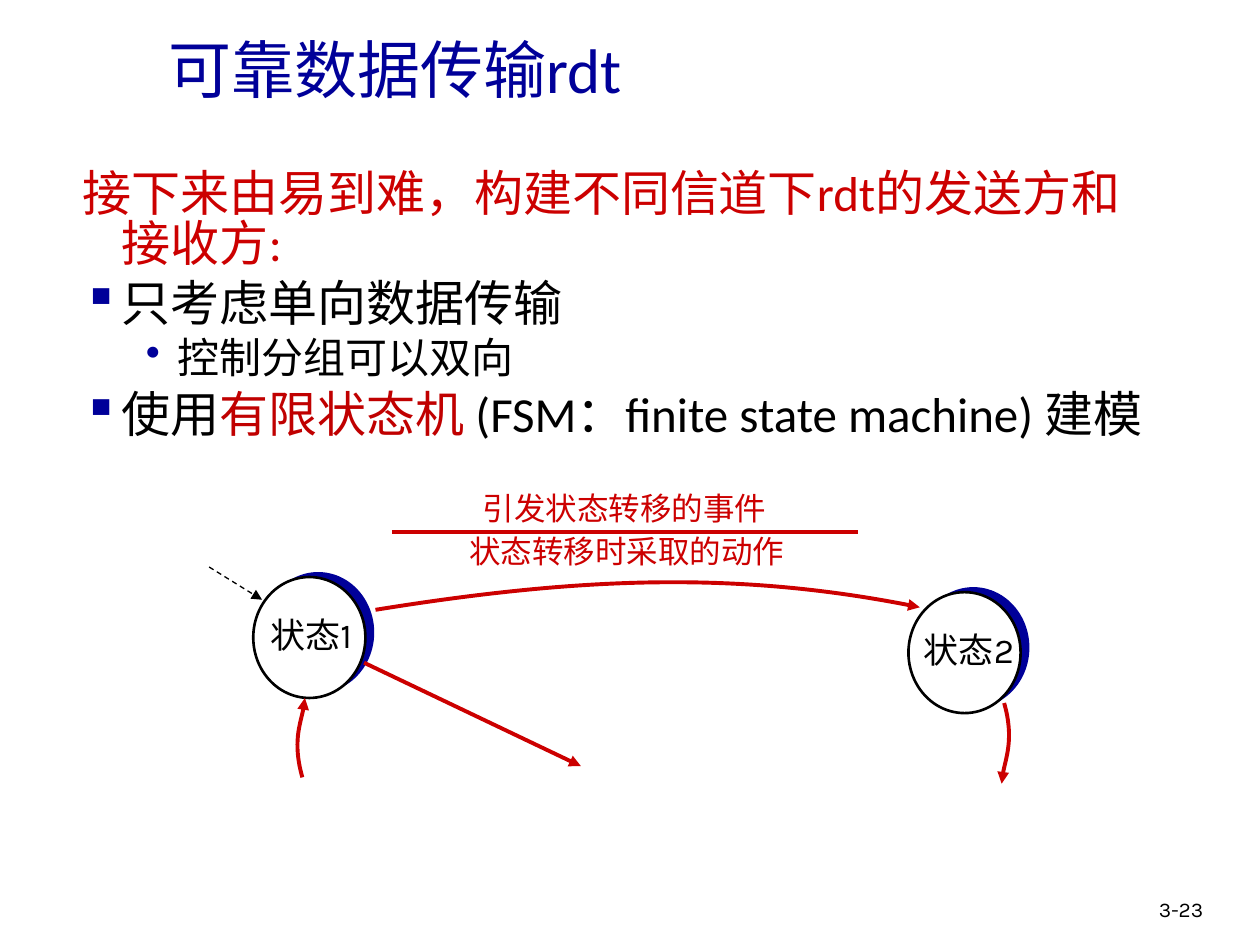
"""Build the slide on reliable data transfer with its finite state machine."""
import pptx
import pptx.dml.color
import pptx.enum.dml
import pptx.enum.shapes
import pptx.enum.text
import pptx.oxml
import pptx.oxml.ns
import pptx.util
from pptx.util import Inches

RGBColor = pptx.dml.color.RGBColor
NAVY = RGBColor(0x00, 0x00, 0x99)
RED = RGBColor(0xCC, 0x00, 0x00)
DARK_RED = RGBColor(0xC0, 0x00, 0x00)
BLACK = RGBColor(0x00, 0x00, 0x00)
WHITE = RGBColor(0xFF, 0xFF, 0xFF)

CENTER = pptx.enum.text.PP_ALIGN.CENTER
NO_FIT = pptx.enum.text.MSO_AUTO_SIZE.NONE
GROW = pptx.enum.text.MSO_AUTO_SIZE.SHAPE_TO_FIT_TEXT
MIDDLE = pptx.enum.text.MSO_ANCHOR.MIDDLE
OVAL = pptx.enum.shapes.MSO_SHAPE.OVAL
STRAIGHT = pptx.enum.shapes.MSO_CONNECTOR.STRAIGHT
DASH = pptx.enum.dml.MSO_LINE.DASH

BODY = [
    (0, "", [("接下来由易到难，构建不同信道下rdt的发送方和接收方:", RED)]),
    (0, "▪", [("只考虑单向数据传输", BLACK)]),
    (1, "•", [("控制分组可以双向", BLACK)]),
    (0, "▪", [("使用", BLACK), ("有限状态机", DARK_RED),
              (" (FSM：finite state machine) 建模", BLACK)]),
]
LEVELS = [(28, 0.31, -0.31), (24, 0.75, -0.25)]
CURVES = [
    [(2.98, 4.84), (4.59, 4.58), (5.88, 4.53), (7.3, 4.82)],
    [(2.4, 6.17), (2.32, 5.89), (2.42, 5.63), (2.42, 5.54)],
    [(7.97, 5.58), (8.05, 5.86), (7.95, 6.12), (7.95, 6.22)],
]


def make(tag, **attrs):
    """Return a new drawing element with the given attributes."""
    node = pptx.oxml.parse_xml(f"<a:{tag} {pptx.oxml.ns.nsdecls('a')}/>")
    for key, value in attrs.items():
        node.set(key, value)
    return node


def style(font, face, size, color):
    """Set the face, size and colour of a font."""
    font.name = face
    font.size = pptx.util.Pt(size)
    font.color.rgb = color


def add_box(shapes, box, wrap=True, fit=NO_FIT):
    """Add an empty text box and return its frame."""
    frame = shapes.add_textbox(*map(Inches, box)).text_frame
    frame.word_wrap = wrap
    frame.auto_size = fit
    return frame


def add_label(shapes, box, text, face, size, color, wrap=False):
    """Add a text box with one centred line."""
    frame = add_box(shapes, box, wrap, GROW)
    frame.text = text
    para = frame.paragraphs[0]
    para.alignment = CENTER
    style(para.runs[0].font, face, size, color)


def add_plain(shapes, box, text, face, size, color):
    """Add a left-aligned text box and return its frame."""
    frame = add_box(shapes, box)
    frame.text = text
    style(frame.paragraphs[0].runs[0].font, face, size, color)
    return frame


def add_bullet(props, mark):
    """Put a navy bullet mark, or none, on a paragraph."""
    if not mark:
        props.append(make("buNone"))
        return
    tint = make("buClr")
    tint.append(make("srgbClr", val=str(NAVY)))
    props.append(tint)
    props.append(make("buChar", char=mark))


def add_body(shapes):
    """Add the bulleted list."""
    frame = add_box(shapes, (0.56, 1.31, 8.69, 3.67))
    for index, (level, mark, parts) in enumerate(BODY):
        para = frame.add_paragraph() if index else frame.paragraphs[0]
        size, left, hang = LEVELS[level]
        props = para._p.get_or_add_pPr()
        props.set("marL", str(Inches(left)))
        props.set("indent", str(Inches(hang)))
        add_bullet(props, mark)
        para.level = level
        para.line_spacing = 0.85
        if index:
            para.space_before = pptx.util.Pt(size * 0.2)
        for text, color in parts:
            run = para.add_run()
            run.text = text
            style(run.font, "Calibri", size, color)


def set_line(line, color, width, dash=None, arrow=True):
    """Set the look of a line and its arrowhead."""
    line.color.rgb = color
    line.width = pptx.util.Pt(width)
    if dash:
        line.dash_style = dash
    if arrow:
        line._get_or_add_ln().append(make("tailEnd", type="triangle"))


def add_line(shapes, start, end, color, width, dash=None, arrow=True):
    """Add a straight line."""
    link = shapes.add_connector(STRAIGHT, *map(Inches, start + end))
    set_line(link.line, color, width, dash, arrow)
    link._element.spPr.append(make("effectLst"))


def add_curve(shapes, points):
    """Add a red Bezier arrow through a start, two controls and an end."""
    start, *rest = [(Inches(x), Inches(y)) for x, y in points]
    pen = shapes.build_freeform(*start)
    pen.add_line_segments(rest, close=False)
    shape = pen.convert_to_shape()
    bend = make("cubicBezTo")
    steps = list(shape._element.iter(pptx.oxml.ns.qn("a:lnTo")))
    steps[0].addprevious(bend)
    for step in steps:
        bend.append(step[0])
        step.getparent().remove(step)
    shape.shadow.inherit = False
    shape.fill.background()
    set_line(shape.line, RED, 2.25)


def add_disc(shapes, left, top, color):
    """Add a filled ellipse and return it."""
    disc = shapes.add_shape(OVAL, *map(Inches, (left, top, 0.89, 0.96)))
    disc.shadow.inherit = False
    disc.fill.solid()
    disc.fill.fore_color.rgb = color
    disc.line.fill.background()
    return disc


def add_state(shapes, left, top, text, shift, wrap):
    """Add a state circle with its navy backing and label."""
    add_disc(shapes, left + 0.07, top - 0.04, NAVY)
    set_line(add_disc(shapes, left, top, WHITE).line, BLACK, 1.5, arrow=False)
    box = (left + shift, top + 0.24, 0.92, 0.44)
    add_label(shapes, box, text, "Karla", 20, BLACK, wrap)


def main():
    """Build and save the slide."""
    deck = pptx.Presentation()
    deck.slide_width, deck.slide_height = Inches(10), Inches(7.5)
    shapes = deck.slides.add_slide(deck.slide_layouts[6]).shapes

    title = add_plain(shapes, (1.24, 0.06, 8.5, 0.97), "可靠数据传输rdt",
                      "Calibri", 36, NAVY)
    title.vertical_anchor = MIDDLE
    add_body(shapes)
    add_plain(shapes, (9.1, 7.07, 0.74, 0.3), "3-23", "Karla", 12, BLACK)

    add_state(shapes, 2.01, 4.58, "状态1", 0, False)
    add_state(shapes, 7.21, 4.7, "状态2", 0.02, True)
    add_label(shapes, (3.72, 3.83, 2.47, 0.4), "引发状态转移的事件",
              "Karla", 18, RED)
    add_label(shapes, (3.61, 4.17, 2.73, 0.4), "状态转移时采取的动作",
              "Karla", 18, RED)
    add_line(shapes, (3.11, 4.22), (6.81, 4.22), RED, 2.25, arrow=False)
    for points in CURVES:
        add_curve(shapes, points)
    add_line(shapes, (2.89, 5.26), (4.61, 6.08), RED, 2.25)
    add_line(shapes, (1.66, 4.5), (2.08, 4.76), BLACK, 0.75, DASH)
    deck.save("out.pptx")


if __name__ == "__main__":
    main()
